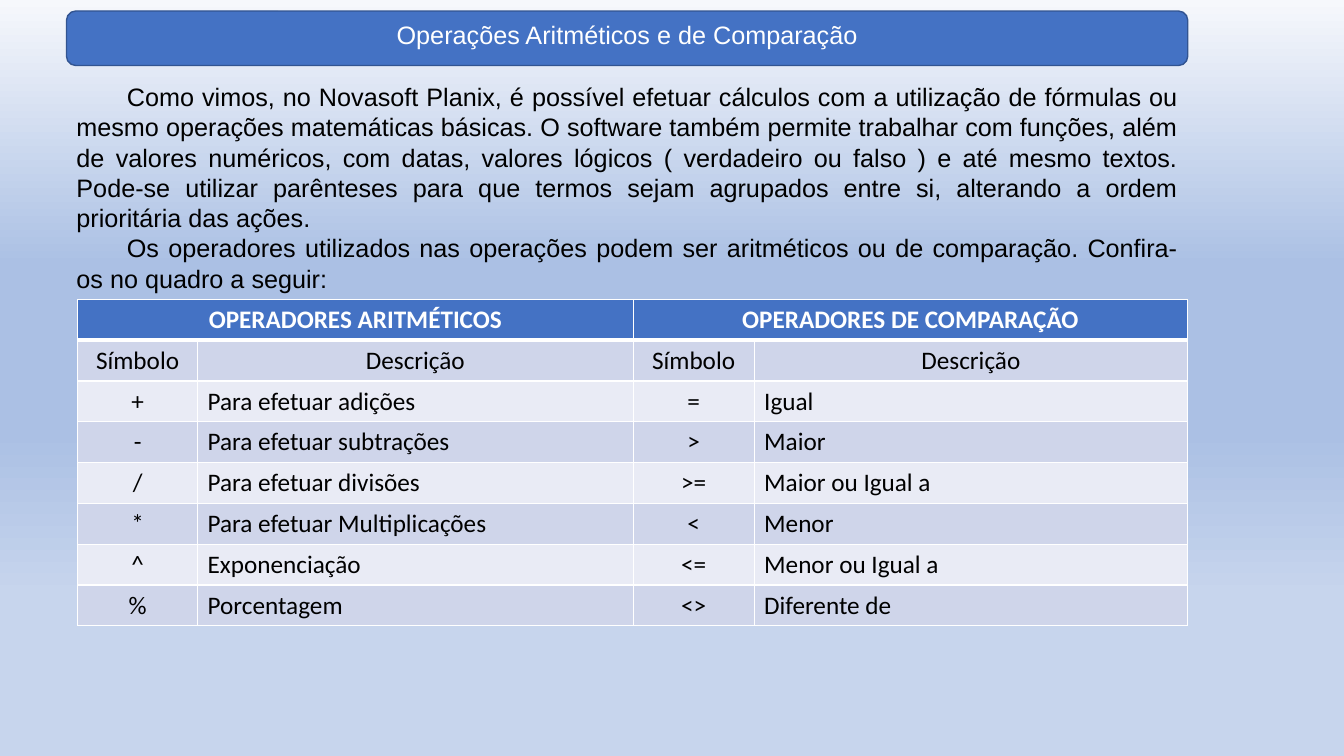
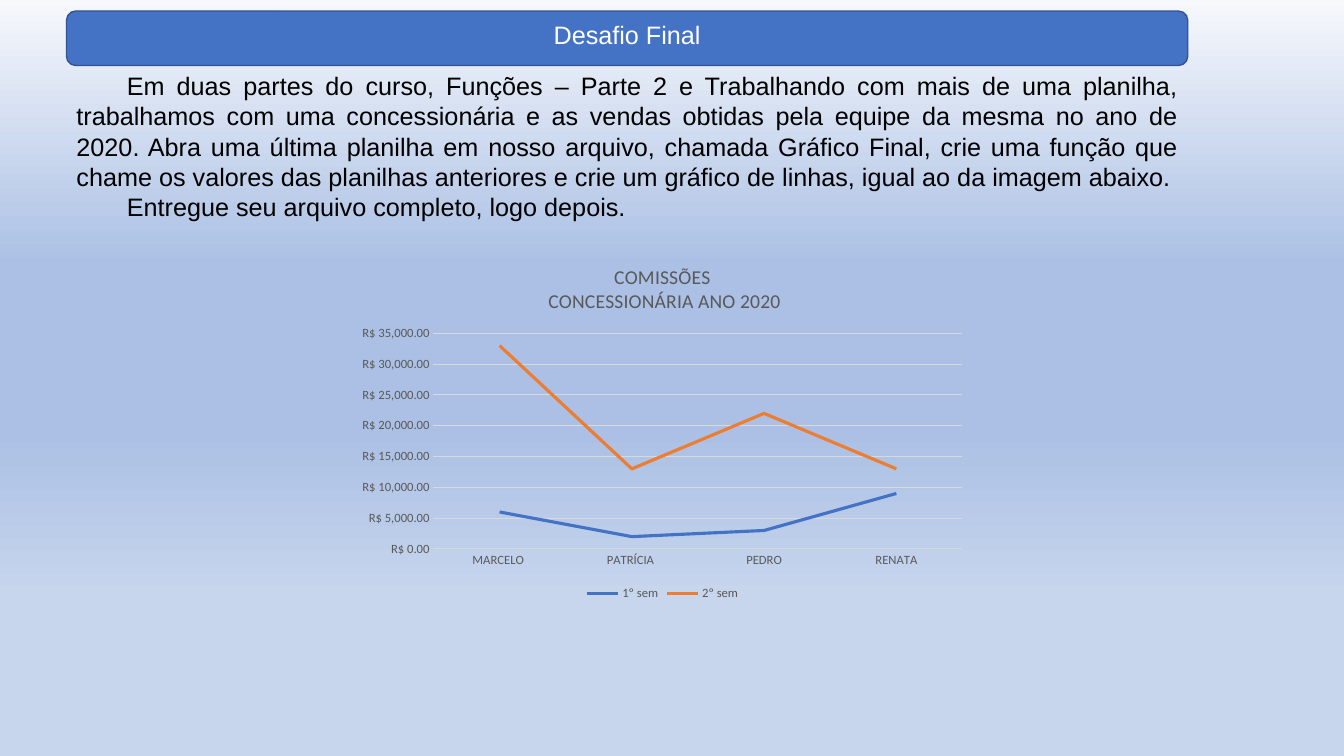
from dataclasses import dataclass

from lxml.etree import SubElement
from pptx import Presentation
from pptx.chart.data import CategoryChartData
from pptx.dml.color import RGBColor
from pptx.enum.chart import XL_CHART_TYPE, XL_LEGEND_POSITION, XL_MARKER_STYLE, XL_TICK_MARK
from pptx.enum.shapes import MSO_SHAPE
from pptx.enum.text import MSO_AUTO_SIZE, PP_ALIGN
from pptx.oxml.ns import qn
from pptx.util import Inches, Pt


@dataclass(frozen=True)
class Theme:
    heading_font: str = "Arial"
    data_font: str = "Calibri"
    blue: str = "4472C4"
    blue_edge: str = "325491"
    orange: str = "ED7D31"
    white: str = "FFFFFF"
    black: str = "000000"
    gray: str = "595959"
    grid: str = "D9D9D9"
    band_dark: str = "CFD5EA"
    band_light: str = "E9EBF5"
    background: tuple = ((0, "F6F8FC"), (35, "ABC0E4"), (57, "ABC0E4"), (79, "C7D5ED"))
    text_size: int = 18
    chart_title_size: int = 14
    chart_size: int = 9


THEME = Theme()
LEFT, WIDTH = 0.66, 11.12


def color(value):
    return RGBColor.from_string(value)


def style_font(font, name=THEME.data_font, size=THEME.text_size, fill=THEME.black, bold=False):
    font.name, font.size, font.bold = name, Pt(size), bold
    font.color.rgb = color(fill)


def write(text_frame, *texts, align=PP_ALIGN.LEFT, indent=0, **font_format):
    """Write each text as one paragraph with a shared format."""
    for index, text in enumerate(texts):
        paragraph = text_frame.add_paragraph() if index else text_frame.paragraphs[0]
        paragraph.alignment = align
        if indent:
            properties = paragraph._p.get_or_add_pPr()
            properties.set("marL", "0")
            properties.set("indent", str(Inches(indent)))
        run = paragraph.add_run()
        run.text = text
        style_font(run.font, **font_format)


def add_text(slide, box, *texts, **text_format):
    text_frame = slide.shapes.add_textbox(*map(Inches, box)).text_frame
    text_frame.word_wrap = True
    text_frame.auto_size = MSO_AUTO_SIZE.SHAPE_TO_FIT_TEXT
    write(text_frame, *texts, name=THEME.heading_font, **text_format)


def add_title_band(slide, title):
    band = slide.shapes.add_shape(
        MSO_SHAPE.ROUNDED_RECTANGLE, *map(Inches, (LEFT, 0.11, WIDTH, 0.54)))
    band.shadow.inherit = False
    band.fill.solid()
    band.fill.fore_color.rgb = color(THEME.blue)
    band.line.color.rgb = color(THEME.blue_edge)
    band.line.width = Pt(1)
    add_text(slide, (LEFT, 0.14, WIDTH, 0.4), title, align=PP_ALIGN.CENTER, fill=THEME.white)


def add_body(slide, top, height, *texts):
    add_text(slide, (LEFT, top, WIDTH, height), *texts, align=PP_ALIGN.JUSTIFY, indent=0.5)


def set_background(master):
    """Give the master a vertical gradient."""
    fill = master.background.fill
    fill.gradient()
    fill.gradient_angle = 270
    stops = next(master.element.iter(qn("a:gsLst")))
    for stop in list(stops):
        stops.remove(stop)
    for position, value in THEME.background:
        stop = SubElement(stops, qn("a:gs"), pos=str(position * 1000))
        SubElement(stop, qn("a:srgbClr"), val=value)


def fill_cell(cell, text, background, bottom_width=1, **text_format):
    write(cell.text_frame, text, **text_format)
    properties = cell._tc.get_or_add_tcPr()
    for side, width in (("lnL", 1), ("lnR", 1), ("lnT", 1), ("lnB", bottom_width)):
        line = SubElement(properties, qn(f"a:{side}"), w=str(Pt(width)))
        solid = SubElement(line, qn("a:solidFill"))
        SubElement(solid, qn("a:srgbClr"), val=THEME.white)
    cell.fill.solid()
    cell.fill.fore_color.rgb = color(background)


def add_operator_table(slide, box, headings, rows):
    table = slide.shapes.add_table(len(rows) + 1, 4, *map(Inches, box)).table
    for column, width in zip(table.columns, (1.19, 4.32, 1.2, 4.3)):
        column.width = Inches(width)
    for row in table.rows:
        row.height = Inches(box[3] / len(table.rows))
    for index, heading in enumerate(headings):
        cell = table.cell(0, 2 * index)
        cell.merge(table.cell(0, 2 * index + 1))
        fill_cell(cell, heading, THEME.blue, bottom_width=3,
                  align=PP_ALIGN.CENTER, fill=THEME.white, bold=True)
    for row_index, row in enumerate(rows, 1):
        band = THEME.band_dark if row_index % 2 else THEME.band_light
        for column_index, text in enumerate(row):
            centered = row_index == 1 or column_index % 2 == 0
            fill_cell(table.cell(row_index, column_index), text, band,
                      align=PP_ALIGN.CENTER if centered else PP_ALIGN.LEFT)


def add_commission_chart(slide, box, title_lines, categories, series_values):
    data = CategoryChartData(number_format='"R$"\\ #,##0.00')
    data.categories = categories
    for name, values in series_values.items():
        data.add_series(name, values)
    chart = slide.shapes.add_chart(XL_CHART_TYPE.LINE, *map(Inches, box), data).chart
    chart_format = {"size": THEME.chart_size, "fill": THEME.gray}
    style_font(chart.font, **chart_format)
    write(chart.chart_title.text_frame, *title_lines, align=PP_ALIGN.CENTER,
          size=THEME.chart_title_size, fill=THEME.gray)
    chart.chart_title.include_in_layout = False
    chart.has_legend = True
    chart.legend.position = XL_LEGEND_POSITION.BOTTOM
    chart.legend.include_in_layout = False
    style_font(chart.legend.font, **chart_format)
    for axis in (chart.category_axis, chart.value_axis):
        axis.major_tick_mark = axis.minor_tick_mark = XL_TICK_MARK.NONE
        style_font(axis.tick_labels.font, **chart_format)
    chart.value_axis.format.line.fill.background()
    chart.value_axis.has_major_gridlines = True
    for line in (chart.category_axis.format.line, chart.value_axis.major_gridlines.format.line):
        line.color.rgb = color(THEME.grid)
        line.width = Pt(0.75)
    plot = chart.plots[0]
    plot.vary_by_categories = False
    for series, value in zip(plot.series, (THEME.blue, THEME.orange)):
        series.smooth = False
        series.marker.style = XL_MARKER_STYLE.NONE
        series.format.line.color.rgb = color(value)
        series.format.line.width = Pt(2.25)


def build_operators_slide(slide):
    add_title_band(slide, "Operações Aritméticos e de Comparação")
    add_body(
        slide, 0.76, 2.22,
        "Como vimos, no Novasoft Planix, é possível efetuar cálculos com a utilização de "
        "fórmulas ou mesmo operações matemáticas básicas. O software também permite trabalhar "
        "com funções, além de valores numéricos, com datas, valores lógicos ( verdadeiro ou "
        "falso ) e até mesmo textos. Pode-se utilizar parênteses para que termos sejam "
        "agrupados entre si, alterando a ordem prioritária das ações.",
        "Os operadores utilizados nas operações podem ser aritméticos ou de comparação. "
        "Confira-os no quadro a seguir:")
    add_operator_table(
        slide, (0.77, 2.97, 11.01, 3.24),
        ("OPERADORES ARITMÉTICOS", "OPERADORES DE COMPARAÇÃO"),
        (("Símbolo", "Descrição", "Símbolo", "Descrição"),
         ("+", "Para efetuar adições", "=", "Igual"),
         ("-", "Para efetuar subtrações", ">", "Maior"),
         ("/", "Para efetuar divisões", ">=", "Maior ou Igual a"),
         ("*", "Para efetuar Multiplicações", "<", "Menor"),
         ("^", "Exponenciação", "<=", "Menor ou Igual a"),
         ("%", "Porcentagem", "<>", "Diferente de")))


def build_challenge_slide(slide):
    add_commission_chart(
        slide, (3.47, 2.46, 6.2, 3.54),
        ("COMISSÕES", " CONCESSIONÁRIA ANO 2020"),
        ("MARCELO ", "PATRÍCIA ", "PEDRO", "RENATA"),
        {"1º sem": (6000, 2000, 3000, 9000), "2º sem": (33000, 13000, 22000, 13000)})
    add_title_band(slide, "Desafio Final")
    add_body(
        slide, 0.65, 1.62,
        "Em duas partes do curso, Funções – Parte 2 e Trabalhando com mais de uma planilha, "
        "trabalhamos com uma concessionária e as vendas obtidas pela equipe da mesma no ano de "
        "2020. Abra uma última planilha em nosso arquivo, chamada Gráfico Final, crie uma função "
        "que chame os valores das planilhas anteriores e crie um gráfico de linhas, igual ao da "
        "imagem abaixo.",
        "Entregue seu arquivo completo, logo depois.")


def main():
    presentation = Presentation()
    presentation.slide_width, presentation.slide_height = Inches(13.33), Inches(7.5)
    set_background(presentation.slide_master)
    for build in (build_operators_slide, build_challenge_slide):
        build(presentation.slides.add_slide(presentation.slide_layouts[6]))
    presentation.save("out.pptx")


if __name__ == "__main__":
    main()
